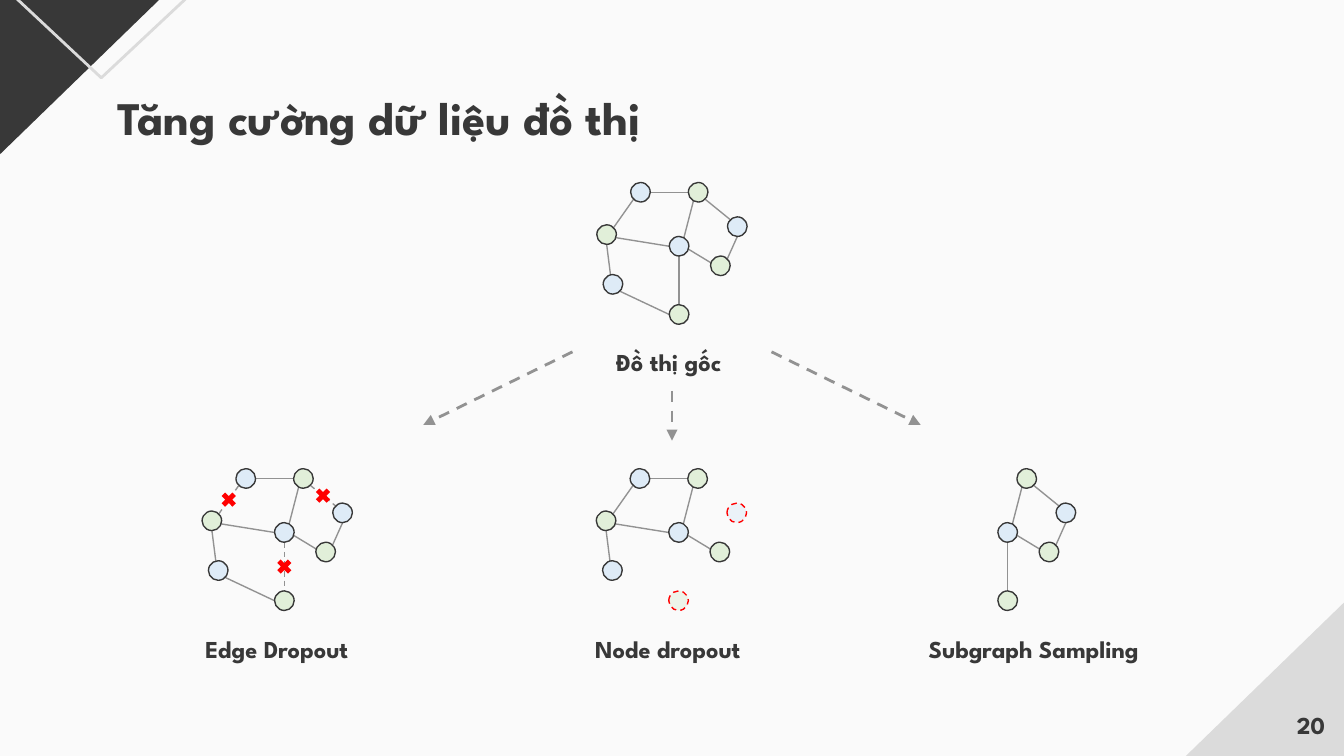
from enum import Enum
from typing import NamedTuple

from pptx import Presentation
from pptx.dml.color import RGBColor
from pptx.enum.dml import MSO_LINE_DASH_STYLE as Dash
from pptx.enum.shapes import MSO_CONNECTOR as Conn, MSO_SHAPE as Shp
from pptx.enum.text import MSO_ANCHOR as Anchor, MSO_AUTO_SIZE as Fit, PP_ALIGN as Align
from pptx.oxml.ns import qn
from pptx.util import Cm, Pt
from lxml.etree import SubElement

FONT = "League Spartan"
PAPER = RGBColor(0xFA, 0xFA, 0xFA)
DARK = RGBColor(0x38, 0x38, 0x38)
LIGHT = RGBColor(0xDB, 0xDB, 0xDB)
GREY = RGBColor(0x92, 0x92, 0x92)
BLUE = RGBColor(0xDE, 0xEB, 0xF7)
GREEN = RGBColor(0xE1, 0xEF, 0xD9)
RED = RGBColor(0xFF, 0x00, 0x00)
NODE = 0.37
CROSS = 0.39


class Site(Enum):
    TOP = (0.5, 0)
    TOP_LEFT = (0.15, 0.15)
    LEFT = (0, 0.5)
    BOTTOM_LEFT = (0.15, 0.85)
    BOTTOM = (0.5, 1)
    BOTTOM_RIGHT = (0.85, 0.85)
    RIGHT = (1, 0.5)
    TOP_RIGHT = (0.85, 0.15)


class Node(NamedTuple):
    x: float
    y: float
    color: RGBColor


class Edge(NamedTuple):
    start: str
    start_site: Site
    end: str
    end_site: Site


class Graph(NamedTuple):
    x: float
    y: float
    caption: str
    caption_x: float
    caption_w: float
    nodes: str = "ABCDEFGH"
    lost_nodes: str = ""
    lost_edges: tuple[str, ...] = ()


class Arrow(NamedTuple):
    x1: float
    y1: float
    x2: float
    y2: float


NODES = {
    "A": Node(0.64, 0, BLUE),
    "B": Node(1.73, 0, GREEN),
    "C": Node(1.37, 1.02, BLUE),
    "D": Node(0, 0.8, GREEN),
    "E": Node(0.12, 1.74, BLUE),
    "F": Node(1.37, 2.31, GREEN),
    "G": Node(2.15, 1.39, GREEN),
    "H": Node(2.47, 0.65, BLUE),
}
EDGES = [
    Edge("D", Site.TOP_RIGHT, "A", Site.BOTTOM_LEFT),
    Edge("A", Site.RIGHT, "B", Site.LEFT),
    Edge("B", Site.BOTTOM_RIGHT, "H", Site.TOP_LEFT),
    Edge("D", Site.LEFT, "C", Site.LEFT),
    Edge("B", Site.TOP, "C", Site.BOTTOM),
    Edge("H", Site.BOTTOM, "G", Site.TOP_RIGHT),
    Edge("G", Site.BOTTOM_RIGHT, "C", Site.TOP_LEFT),
    Edge("C", Site.BOTTOM, "F", Site.TOP),
    Edge("E", Site.BOTTOM_RIGHT, "F", Site.LEFT),
    Edge("D", Site.BOTTOM, "E", Site.BOTTOM),
]
ROW_Y = 8.86
GRAPHS = [
    Graph(11.28, 3.45, "Đồ thị gốc", 11.4, 2.6),
    Graph(17.49, ROW_Y, "Subgraph Sampling", 17.3, 4.6, nodes="BCFGH"),
    Graph(3.82, ROW_Y, "Edge Dropout", 3.63, 3.4, lost_edges=("DA", "BH", "CF")),
    Graph(11.27, ROW_Y, "Node dropout", 11, 3.4, lost_nodes="FH"),
]
ARROWS = [
    Arrow(10.82, 6.65, 8, 8.03),
    Arrow(12.7, 7.39, 12.7, 8.33),
    Arrow(14.58, 6.65, 17.4, 8.03),
]


def add_shape(shapes, kind: Shp, x: float, y: float, w: float, h: float,
              fill: RGBColor | None = None, line: RGBColor | None = None,
              weight: float = 0.75):
    sp = shapes.add_shape(kind, Cm(x), Cm(y), Cm(w), Cm(h))
    sp.shadow.inherit = False
    if fill is None:
        sp.fill.background()
    else:
        sp.fill.solid()
        sp.fill.fore_color.rgb = fill
    if line is None:
        sp.line.fill.background()
    else:
        sp.line.color.rgb = line
        sp.line.width = Pt(weight)
    return sp


def add_corner(shapes, kind: Shp, x: float, y: float, w: float, h: float,
               rotation: int, fill: RGBColor | None, line: RGBColor | None = None) -> None:
    sp = add_shape(shapes, kind, x, y, w, h, fill, line, 1.5)
    sp.rotation = rotation
    sp._element.spPr.find(qn("a:xfrm")).set("flipH", "1")


def add_line(shapes, x1: float, y1: float, x2: float, y2: float,
             weight: float = 0.75, dashed: bool = False, arrow: bool = False) -> None:
    cn = shapes.add_connector(Conn.STRAIGHT, Cm(x1), Cm(y1), Cm(x2), Cm(y2))
    cn.line.color.rgb = GREY
    cn.line.width = Pt(weight)
    if dashed:
        cn.line.dash_style = Dash.DASH
    if arrow:
        SubElement(cn.line._get_or_add_ln(), qn("a:tailEnd"), type="triangle")
    SubElement(cn._element.spPr, qn("a:effectLst"))


def add_text(shapes, text: str, x: float, y: float, w: float, h: float, size: int = 13,
             align: Align = Align.LEFT, anchor: Anchor = Anchor.TOP, fit: Fit = Fit.NONE) -> None:
    tf = shapes.add_textbox(Cm(x), Cm(y), Cm(w), Cm(h)).text_frame
    tf.word_wrap = True
    tf.auto_size = fit
    tf.vertical_anchor = anchor
    tf.margin_left = tf.margin_right = tf.margin_top = tf.margin_bottom = Cm(0.25)
    p = tf.paragraphs[0]
    p.alignment = align
    r = p.add_run()
    r.text = text
    r.font.name = FONT
    r.font.size = Pt(size)
    r.font.bold = True
    r.font.color.rgb = DARK


def site_point(graph: Graph, name: str, site: Site) -> tuple[float, float]:
    node = NODES[name]
    fx, fy = site.value
    return graph.x + node.x + fx * NODE, graph.y + node.y + fy * NODE


def add_node(shapes, graph: Graph, name: str) -> None:
    node = NODES[name]
    lost = name in graph.lost_nodes
    sp = add_shape(shapes, Shp.OVAL, graph.x + node.x, graph.y + node.y, NODE, NODE,
                   node.color, RED if lost else DARK)
    if lost:
        sp.line.dash_style = Dash.DASH
        color = sp._element.spPr.find(qn("a:solidFill"))[0]
        SubElement(color, qn("a:alpha"), val="50000")


def add_graph(slide, graph: Graph) -> None:
    shapes = slide.shapes.add_group_shape().shapes
    kept = set(graph.nodes) - set(graph.lost_nodes)
    crosses = []
    for edge in EDGES:
        if not {edge.start, edge.end} <= kept:
            continue
        x1, y1 = site_point(graph, edge.start, edge.start_site)
        x2, y2 = site_point(graph, edge.end, edge.end_site)
        lost = edge.start + edge.end in graph.lost_edges
        add_line(shapes, x1, y1, x2, y2, dashed=lost)
        if lost:
            crosses.append(((x1 + x2 - CROSS) / 2, (y1 + y2 - CROSS) / 2))
    for name in graph.nodes:
        add_node(shapes, graph, name)
    for x, y in crosses:
        sp = add_shape(shapes, Shp.MATH_MULTIPLY, x, y, CROSS, CROSS, RED)
        sp.adjustments[0] = 0.235
    add_text(shapes, graph.caption, graph.caption_x, graph.y + 2.87, graph.caption_w, 1.07,
             fit=Fit.SHAPE_TO_FIT_TEXT)


def main() -> None:
    prs = Presentation()
    prs.slide_width, prs.slide_height = Cm(25.4), Cm(14.29)
    s = prs.slides.add_slide(prs.slide_layouts[6])
    s.background.fill.solid()
    s.background.fill.fore_color.rgb = PAPER
    add_corner(s.shapes, Shp.RIGHT_TRIANGLE, 20.6, 6.88, 9.45, 9.17, 0, LIGHT)
    add_corner(s.shapes, Shp.RIGHT_TRIANGLE, -2.57, -3.76, 9.45, 9.17, 180, DARK)
    add_corner(s.shapes, Shp.ISOSCELES_TRIANGLE, -5.54, -5.51, 14.91, 6.98, 180, None, LIGHT)
    add_text(s.shapes, "Tăng cường dữ liệu đồ thị", 1.98, 1.47, 21.41, 1.47, 25,
             anchor=Anchor.MIDDLE)
    for graph in GRAPHS:
        add_graph(s, graph)
    add_text(s.shapes, "20", 23.77, 13.18, 1.52, 1.09, align=Align.RIGHT)
    for arrow in ARROWS:
        add_line(s.shapes, *arrow, weight=1.5, dashed=True, arrow=True)
    prs.save("out.pptx")


if __name__ == "__main__":
    main()
